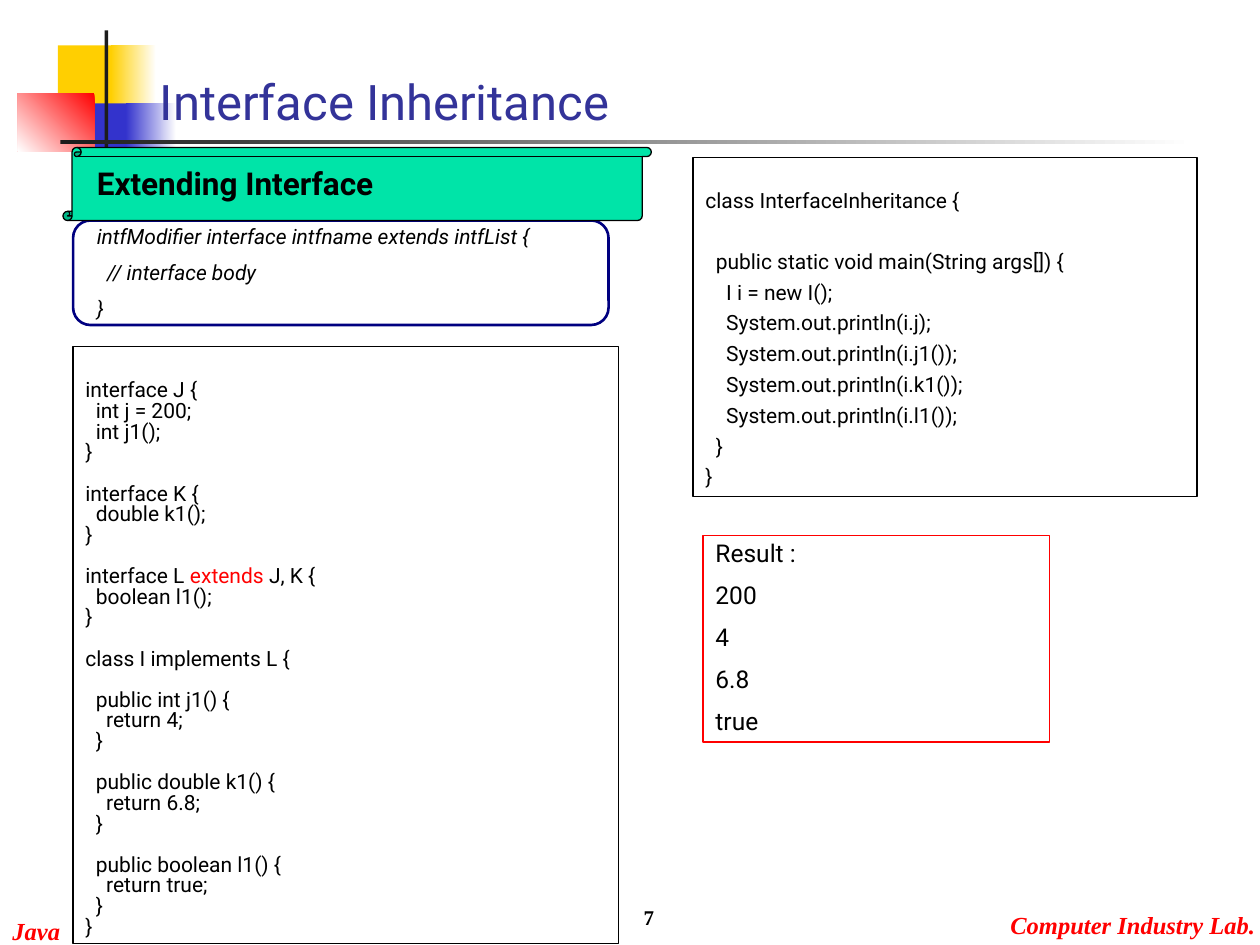
from typing import NamedTuple, Optional

from pptx import Presentation
from pptx.dml.color import RGBColor
from pptx.enum import shapes, text
from pptx.util import Inches, Pt

YELLOW = RGBColor(0xFF, 0xCF, 0x01)
BLUE = RGBColor(0x33, 0x33, 0xCC)
RED = RGBColor(0xFF, 0x00, 0x00)
WHITE = RGBColor(0xFF, 0xFF, 0xFF)
CHARCOAL = RGBColor(0x1C, 0x1C, 0x1C)
BLACK = RGBColor(0x00, 0x00, 0x00)
INDIGO = RGBColor(0x33, 0x33, 0x99)
NAVY = RGBColor(0x00, 0x00, 0x80)
GREEN = RGBColor(0x00, 0xE4, 0xA8)

SERIF = "Times New Roman"
LINE_HEIGHT = 1.17


class Box(NamedTuple):
    left: float
    top: float
    width: float
    height: float


class Bar(NamedTuple):
    box: Box
    color: RGBColor
    fade_angle: Optional[float] = None


BARS = [
    Bar(Box(0.46, 0.36, 0.48, 0.52), YELLOW),
    Bar(Box(0.88, 0.36, 0.36, 0.52), YELLOW, 0),
    Bar(Box(0.59, 0.82, 0.46, 0.52), BLUE),
    Bar(Box(1, 0.82, 0.4, 0.52), BLUE, 0),
    Bar(Box(0.14, 0.74, 0.61, 0.46), RED, 225),
    Bar(Box(0.83, 0.24, 0.03, 1.15), CHARCOAL),
    Bar(Box(0.48, 1.11, 9, 0.03), CHARCOAL, 0),
]

SYNTAX = """intfModifier interface intfname extends intfList {
  // interface body
}"""

INTERFACES = """interface J {
  int j = 200;
  int j1();
}

interface K {
  double k1();
}

interface L extends J, K {
  boolean l1();
}

class I implements L {

  public int j1() {
    return 4;
  }

  public double k1() {
    return 6.8;
  }

  public boolean l1() {
    return true;
  }
}"""

MAIN_CLASS = """class InterfaceInheritance {

  public static void main(String args[]) {
    I i = new I();
    System.out.println(i.j);
    System.out.println(i.j1());
    System.out.println(i.k1());
    System.out.println(i.l1());
  }
}"""

RESULT = "Result :\n200\n4\n6.8\ntrue"


def add_shape(slide, kind, box: Box, line=None, width: float = 0.75):
    sp = slide.shapes.add_shape(kind, *map(Inches, box))
    sp.shadow.inherit = False
    sp.fill.background()
    if line is None:
        sp.line.fill.background()
    else:
        sp.line.color.rgb = line
        sp.line.width = Pt(width)
    return sp


def add_bar(slide, bar: Bar) -> None:
    sp = add_shape(slide, shapes.MSO_SHAPE.RECTANGLE, bar.box)
    if bar.fade_angle is None:
        sp.fill.solid()
        sp.fill.fore_color.rgb = bar.color
        return
    sp.fill.gradient()
    sp.fill.gradient_angle = bar.fade_angle
    for stop, color in zip(sp.fill.gradient_stops, (bar.color, WHITE)):
        stop.color.rgb = color


def write(sp, content: str, *, size: float = 12, font: str = "Roboto",
          color: RGBColor = BLACK, bold: bool = False, italic: bool = False,
          spacing: float = 1, before: float = 0, top: float = 0.05,
          right: float = 0.1, keyword: str = "",
          align=text.PP_ALIGN.LEFT, anchor=text.MSO_ANCHOR.TOP) -> None:
    tf = sp.text_frame
    tf.word_wrap = True
    tf.vertical_anchor = anchor
    tf.margin_top = Inches(top)
    tf.margin_right = Inches(right)
    p, blanks = None, 0
    for line in content.split("\n"):
        if not line:
            blanks += 1
            continue
        first = p is None
        p = tf.paragraphs[0] if first else tf.add_paragraph()
        p.alignment = align
        p.line_spacing = spacing
        if not first:
            blank_height = before + LINE_HEIGHT * size * spacing
            p.space_before = Pt(round(before + blanks * blank_height, 1))
        blanks = 0
        parts = line.partition(keyword) if keyword else (line,)
        for part in filter(None, parts):
            r = p.add_run()
            r.text = part
            r.font.size = Pt(size)
            r.font.name = font
            r.font.bold = bold
            r.font.italic = italic
            r.font.color.rgb = RED if part == keyword else color


def add_text(slide, box: Box, content: str, **fmt) -> None:
    write(slide.shapes.add_textbox(*map(Inches, box)), content, **fmt)


def add_panel(slide, box: Box, content: str, line: RGBColor = BLACK, **fmt) -> None:
    write(add_shape(slide, shapes.MSO_SHAPE.RECTANGLE, box, line), content, **fmt)


def main() -> None:
    prs = Presentation()
    prs.slide_width, prs.slide_height = Inches(10), Inches(7.5)
    s = prs.slides.add_slide(prs.slide_layouts[6])
    for bar in BARS:
        add_bar(s, bar)

    footer = dict(size=14, font=SERIF, color=RED, bold=True, italic=True, right=0)
    add_text(s, Box(0, 7.22, 0.58, 0.28), "Java", **footer)
    add_text(s, Box(7.92, 7.17, 2.08, 0.33), "Computer Industry Lab.", **footer)
    add_text(s, Box(1.17, 0.5, 4.5, 0.58), "Interface Inheritance",
             size=28, color=INDIGO, anchor=text.MSO_ANCHOR.BOTTOM)

    add_shape(s, shapes.MSO_SHAPE.ROUNDED_RECTANGLE,
              Box(0.58, 1.75, 4.25, 0.83), NAVY, 1.5)
    add_text(s, Box(0.67, 1.75, 3.83, 0.85), SYNTAX,
             italic=True, spacing=0.9, before=7.5)
    scroll = add_shape(s, shapes.MSO_SHAPE.VERTICAL_SCROLL,
                       Box(0.5, 1.17, 4.67, 0.58), BLACK)
    scroll.fill.solid()
    scroll.fill.fore_color.rgb = GREEN
    add_text(s, Box(0.67, 1.25, 4.42, 0.4), "Extending Interface", size=18, bold=True)

    add_panel(s, Box(0.58, 2.75, 4.33, 4.74), INTERFACES,
              spacing=0.3, before=7.5, top=0.36, keyword="extends")
    add_panel(s, Box(5.5, 1.25, 4, 2.69), MAIN_CLASS,
              spacing=0.7, before=7.5, top=0.29)
    add_panel(s, Box(5.58, 4.25, 2.75, 1.64), RESULT, RED,
              size=14, spacing=0.9, before=8.8)
    add_text(s, Box(3.21, 6.93, 2.08, 0.5), "7", font=SERIF, bold=True,
             align=text.PP_ALIGN.RIGHT, anchor=text.MSO_ANCHOR.BOTTOM)
    prs.save("out.pptx")


if __name__ == "__main__":
    main()
